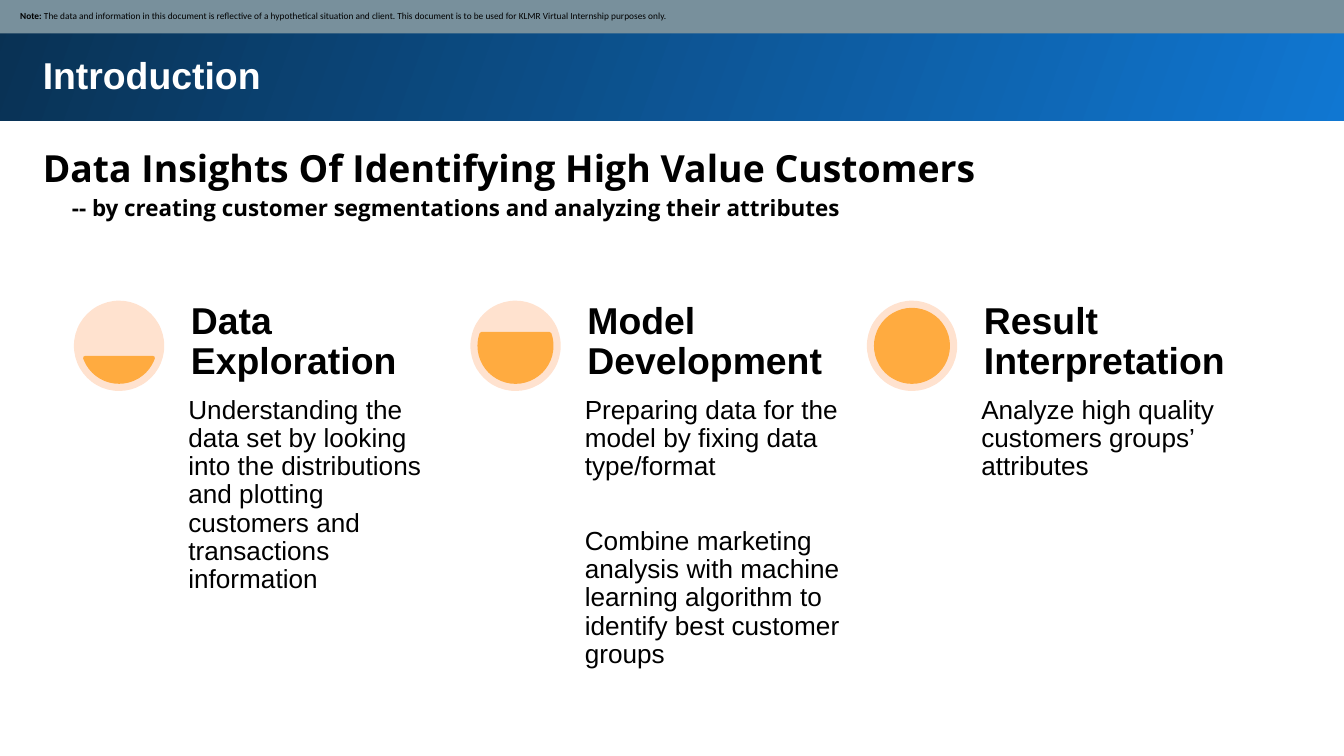
from pptx import Presentation
from pptx import util as u
from pptx.dml import color
from pptx.enum import shapes, text

COLUMN_LEFT, COLUMN_PITCH = 39.6, 212.4
STEPS = [
    ("Data Exploration", (11.683, 96.317),
     ["Understanding the data set by looking into the distributions and plotting "
      "customers and transactions information"]),
    ("Model Development", (204.317, 119.683),
     ["Preparing data for the model by fixing data type/format",
      "Combine marketing analysis with machine learning algorithm to identify "
      "best customer groups"]),
    ("Result Interpretation", (162, 162),
     ["Analyze high quality customers groups’ attributes"]),
]


def rgb(hex_code):
    """Turn a hex string into a colour."""
    return color.RGBColor.from_string(hex_code)


def box(*lengths):
    """Turn lengths in points into slide units."""
    return [u.Pt(length) for length in lengths]


def add_plain_shape(parent, kind, bounds, fill=None):
    """Add a preset shape without shadow or outline."""
    shape = parent.add_shape(kind, *box(*bounds))
    shape.shadow.inherit = False
    shape.line.fill.background()
    if fill:
        shape.fill.solid()
        shape.fill.fore_color.rgb = rgb(fill)
    return shape


def set_frame(frame, inset, anchor=text.MSO_ANCHOR.TOP):
    """Set wrapping, insets and anchor of a text frame."""
    frame.word_wrap = True
    frame.vertical_anchor = anchor
    frame.margin_left = frame.margin_right = u.Pt(inset)
    frame.margin_top = frame.margin_bottom = u.Pt(inset)


def add_run(paragraph, words, size, font="Arial", bold=False, fill="000000"):
    """Append one styled run to a paragraph."""
    run = paragraph.add_run()
    run.text = words
    run.font.size = u.Pt(size)
    run.font.name = font
    run.font.bold = bold
    run.font.color.rgb = rgb(fill)


def add_text(parent, bounds, inset, lines, spacing=1.0, after=0,
             anchor=text.MSO_ANCHOR.TOP):
    """Add a text box holding one paragraph per (words, style) line."""
    frame = parent.add_textbox(*box(*bounds)).text_frame
    set_frame(frame, inset, anchor)
    for index, (words, style) in enumerate(lines):
        paragraph = frame.add_paragraph() if index else frame.paragraphs[0]
        paragraph.line_spacing = spacing
        paragraph.space_after = u.Pt(after)
        add_run(paragraph, words, **style)
    return frame


def add_header(parent):
    """Add the gradient band with the slide title."""
    band = add_plain_shape(parent, shapes.MSO_SHAPE.RECTANGLE, (-1.44, -1.44, 723.6, 66.24))
    band.fill.gradient()
    band.fill.gradient_angle = 160
    for stop, hex_code in zip(band.fill.gradient_stops, ("1077D2", "093153")):
        stop.color.rgb = rgb(hex_code)
    add_text(parent, (15.84, 20.88, 674.64, 36.72), 7.2,
             [("Introduction", dict(size=20, bold=True, fill="FFFFFF"))])


def add_note(parent):
    """Add the grey strip with the disclaimer."""
    strip = add_plain_shape(parent, shapes.MSO_SHAPE.RECTANGLE,
                            (-0.72, -0.72, 722.16, 18.72), "78909C")
    set_frame(strip.text_frame, 3.6, text.MSO_ANCHOR.MIDDLE)
    strip.text_frame.margin_left = u.Pt(11.5)
    note = strip.text_frame.paragraphs[0]
    note.alignment = text.PP_ALIGN.LEFT
    add_run(note, "Note: ", 5, "Calibri", True)
    add_run(note, "The data and information in this document is reflective of a "
            "hypothetical situation and client. This document is to be used for "
            "KLMR Virtual Internship purposes only.", 5, "Calibri")


def add_headline(parent):
    """Add the headline and its indented second line."""
    frame = add_text(parent, (15.84, 66.96, 681.12, 58.32), 7.2, [
        ("Data Insights Of Identifying High Value Customers",
         dict(size=20, font="Open Sans", bold=True)),
        ("-- by creating customer segmentations and analyzing their attributes",
         dict(size=12, font="Open Sans", bold=True)),
    ], spacing=1.15)
    subline = frame.paragraphs[1]._p.get_or_add_pPr()
    subline.set("marL", str(u.Pt(15.6)))
    subline.set("indent", "0")


def add_step(parent, left, heading, chord_ends, details):
    """Add one column: progress disc, heading and details."""
    column = parent.add_group_shape().shapes
    add_plain_shape(column, shapes.MSO_SHAPE.OVAL, (left, 161.1, 48.4, 48.4), "FFE2CF")
    level = add_plain_shape(column, shapes.MSO_SHAPE.CHORD,
                            (left + 4.84, 165.94, 38.72, 38.72), "FFAB40")
    level.adjustments[0], level.adjustments[1] = chord_ends
    level.line.color.rgb = rgb("FFAB40")
    level.line.width = u.Pt(2)
    text_left = left + 58.4
    add_text(column, (text_left, 209.5, 143.28, 204.5), 2.9,
             [(detail, dict(size=14)) for detail in details], spacing=0.9, after=25)
    add_text(column, (text_left, 161.1, 143.28, 48.4), 4.3,
             [(heading, dict(size=20, bold=True))], spacing=0.9,
             anchor=text.MSO_ANCHOR.BOTTOM)


def main():
    """Build and save the slide."""
    deck = Presentation()
    deck.slide_width, deck.slide_height = box(720, 405)
    canvas = deck.slides.add_slide(deck.slide_layouts[6]).shapes
    add_header(canvas)
    add_note(canvas)
    add_headline(canvas)
    for index, step in enumerate(STEPS):
        add_step(canvas, COLUMN_LEFT + index * COLUMN_PITCH, *step)
    deck.save("out.pptx")


if __name__ == "__main__":
    main()
